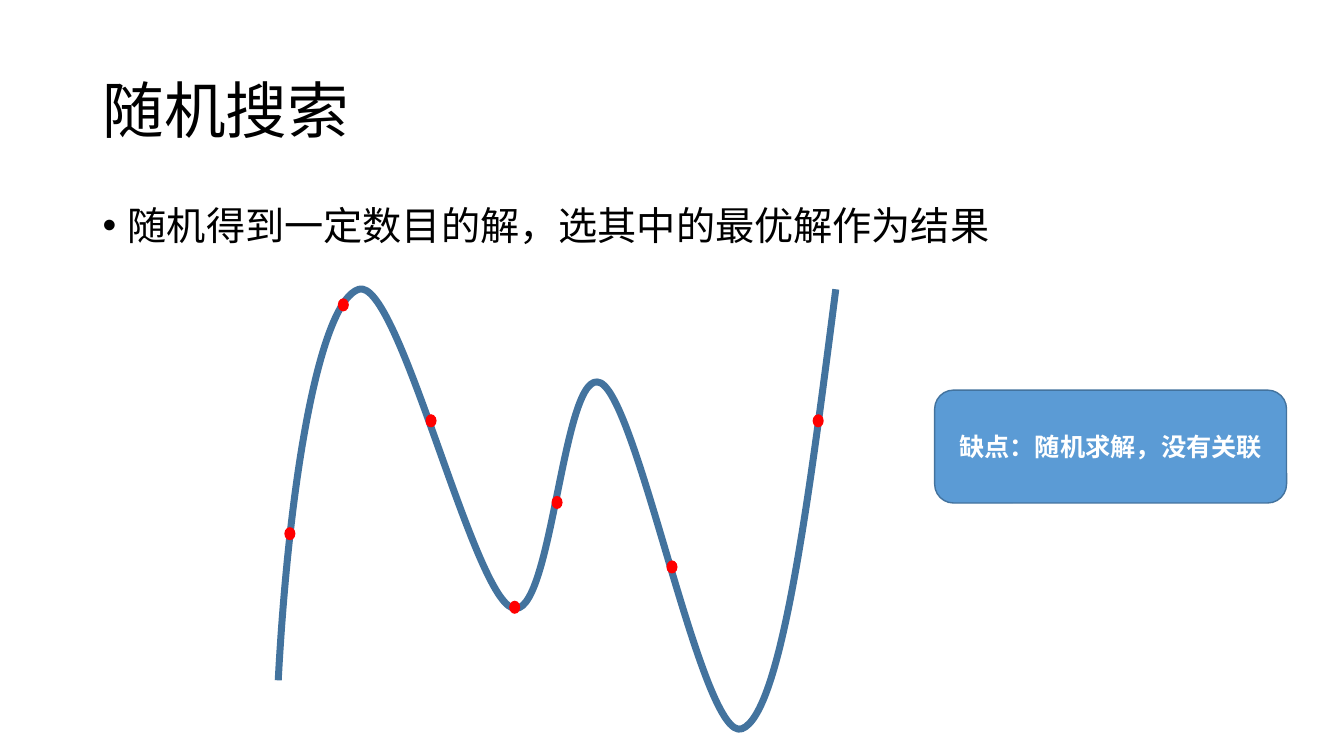
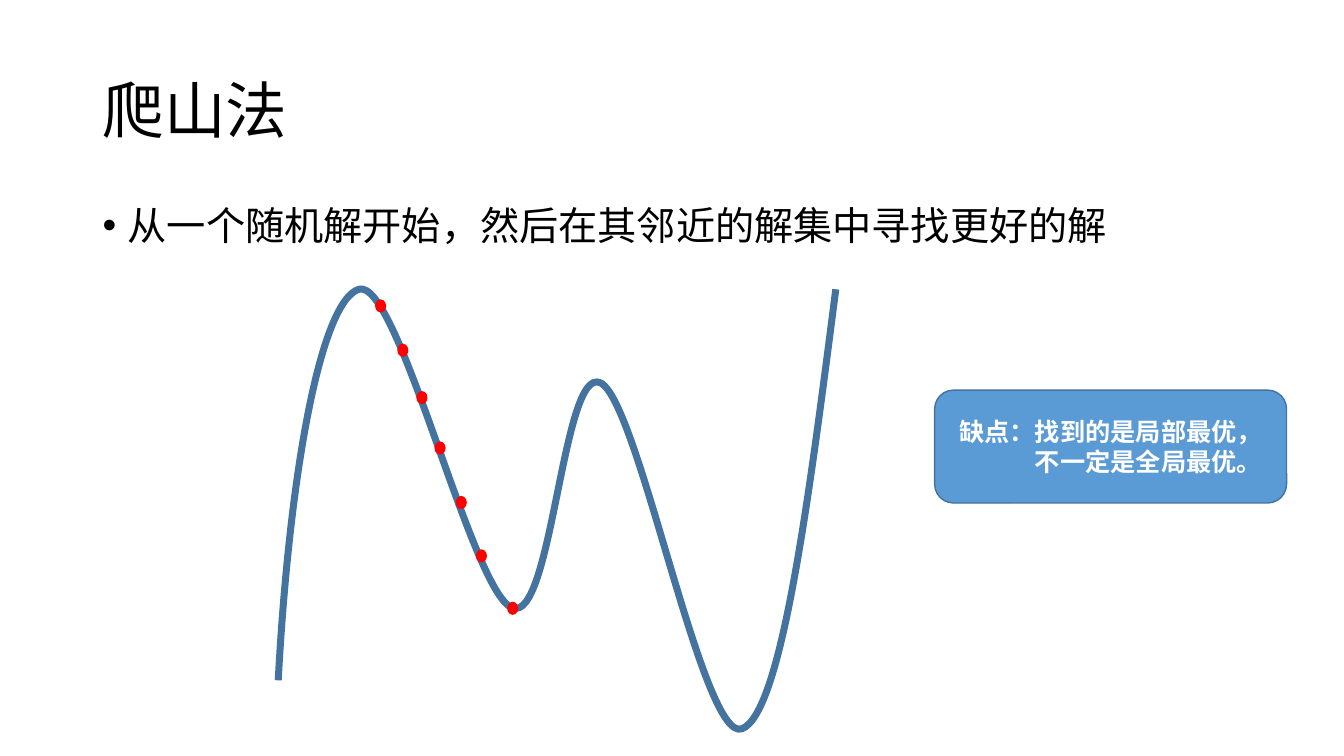
"""Build two slides that compare random search with hill climbing."""
from lxml import etree
from pptx import Presentation
from pptx.dml.color import RGBColor
from pptx.enum.shapes import MSO_SHAPE
from pptx.enum.text import MSO_ANCHOR, PP_ALIGN
from pptx.oxml.ns import qn
from pptx.util import Inches, Pt

DOT, CARD = MSO_SHAPE.FLOWCHART_CONNECTOR, MSO_SHAPE.ROUNDED_RECTANGLE
TOP, MIDDLE = MSO_ANCHOR.TOP, MSO_ANCHOR.MIDDLE
LEFT, CENTER = PP_ALIGN.LEFT, PP_ALIGN.CENTER

BLACK = RGBColor(0x00, 0x00, 0x00)
WHITE = RGBColor(0xFF, 0xFF, 0xFF)
RED = RGBColor(0xFF, 0x00, 0x00)
BLUE = RGBColor(0x5B, 0x9B, 0xD5)
NAVY = RGBColor(0x43, 0x73, 0x9E)

SLIDES = [
    {
        "title": "随机搜索",
        "body": "随机得到一定数目的解，选其中的最优解作为结果",
        "dots": [(2.82, 5.23), (3.35, 2.96), (4.22, 4.11), (5.47, 4.92),
                 (6.61, 5.56), (5.05, 5.96), (8.06, 4.11)],
        "flaw": [("缺点：随机求解，没有关联", 0)],
    },
    {
        "title": "爬山法",
        "body": "从一个随机解开始，然后在其邻近的解集中寻找更好的解",
        "dots": [(3.72, 2.97), (3.94, 3.41), (4.13, 3.88), (4.31, 4.38),
                 (4.52, 4.92), (4.72, 5.45), (5.03, 5.97)],
        "flaw": [("缺点：找到的是局部最优，", 0), ("不一定是全局最优。", 0.75)],
    },
]

START = (2.76, 6.75)
CURVES = [
    [(2.87, 4.7), (3.18, 2.99), (3.56, 2.87)],
    [(3.95, 2.75), (4.68, 5.88), (5.08, 6.03)],
    [(5.48, 6.19), (5.58, 3.6), (5.96, 3.8)],
    [(6.34, 4), (6.97, 7.38), (7.36, 7.23)],
    [(7.75, 7.08), (8.02, 4.97), (8.29, 2.87)],
]

TITLE_BOX = (0.92, 0.4, 11.5, 1.45)
BODY_BOX = (0.92, 2, 11.76, 4.76)
CARD_BOX = (9.27, 3.87, 3.49, 1.12)
DOT_SIZE = (0.11, 0.13)

TITLE = {"font": {"name": "Calibri", "size": Pt(44)}, "color": BLACK,
         "para": {"alignment": LEFT, "line_spacing": 0.9}, "anchor": MIDDLE}
BODY = {"font": {"name": "Times New Roman", "size": Pt(28)}, "color": BLACK,
        "para": {"alignment": LEFT, "line_spacing": 0.9}, "anchor": TOP,
        "bullet": "•"}
FLAW = {"font": {"name": "Calibri", "size": Pt(18), "bold": True},
        "color": WHITE, "para": {"alignment": CENTER}, "anchor": MIDDLE}


def assign(target, values):
    for name, value in values.items():
        setattr(target, name, value)


def indent(para, left, first=0, bullet=None):
    props = para._p.get_or_add_pPr()
    props.set("marL", str(Inches(left)))
    props.set("indent", str(Inches(first)))
    if bullet:
        etree.SubElement(props, qn("a:buFont")).set("typeface", "Arial")
        etree.SubElement(props, qn("a:buChar")).set("char", bullet)


def write(shape, lines, style):
    frame = shape.text_frame
    assign(frame, {"word_wrap": True, "vertical_anchor": style["anchor"]})
    for row, (text, left) in enumerate(lines):
        para = frame.paragraphs[0] if row == 0 else frame.add_paragraph()
        assign(para, style["para"])
        if "bullet" in style:
            indent(para, left, -left, style["bullet"])
        elif left:
            indent(para, left)
        run = para.add_run()
        run.text = text
        assign(run.font, style["font"])
        run.font.color.rgb = style["color"]


def add_text(slide, box, lines, style):
    write(slide.shapes.add_textbox(*map(Inches, box)), lines, style)


def paint(shape, fill=None, line=None, width=0):
    shape.shadow.inherit = False
    if fill is None:
        shape.fill.background()
    else:
        shape.fill.solid()
        shape.fill.fore_color.rgb = fill
    if line is None:
        shape.line.fill.background()
    else:
        shape.line.color.rgb = line
        shape.line.width = Pt(width)


def add_shape(slide, kind, box, **look):
    shape = slide.shapes.add_shape(kind, *map(Inches, box))
    paint(shape, **look)
    return shape


def add_curve(slide):
    pen = slide.shapes.build_freeform(*map(Inches, START))
    pen.add_line_segments([tuple(map(Inches, curve[-1])) for curve in CURVES],
                          close=False)
    shape = pen.convert_to_shape()
    sides = list(shape._element.iter(qn("a:lnTo")))
    for side, curve in zip(sides, CURVES):
        bend = etree.Element(qn("a:cubicBezTo"))
        for x, y in curve:
            point = etree.SubElement(bend, qn("a:pt"))
            point.set("x", str(Inches(x) - shape.left))
            point.set("y", str(Inches(y) - shape.top))
        side.getparent().replace(side, bend)
    paint(shape, line=NAVY, width=5)


def add_slide(deck, data):
    slide = deck.slides.add_slide(deck.slide_layouts[6])
    add_text(slide, TITLE_BOX, [(data["title"], 0)], TITLE)
    add_text(slide, BODY_BOX, [(data["body"], 0.25)], BODY)
    add_curve(slide)
    for spot in data["dots"]:
        add_shape(slide, DOT, spot + DOT_SIZE, fill=RED)
    card = add_shape(slide, CARD, CARD_BOX, fill=BLUE, line=NAVY, width=1)
    write(card, data["flaw"], FLAW)


def main():
    deck = Presentation()
    assign(deck, {"slide_width": Inches(13.33), "slide_height": Inches(7.5)})
    for data in SLIDES:
        add_slide(deck, data)
    deck.save("out.pptx")


if __name__ == "__main__":
    main()
